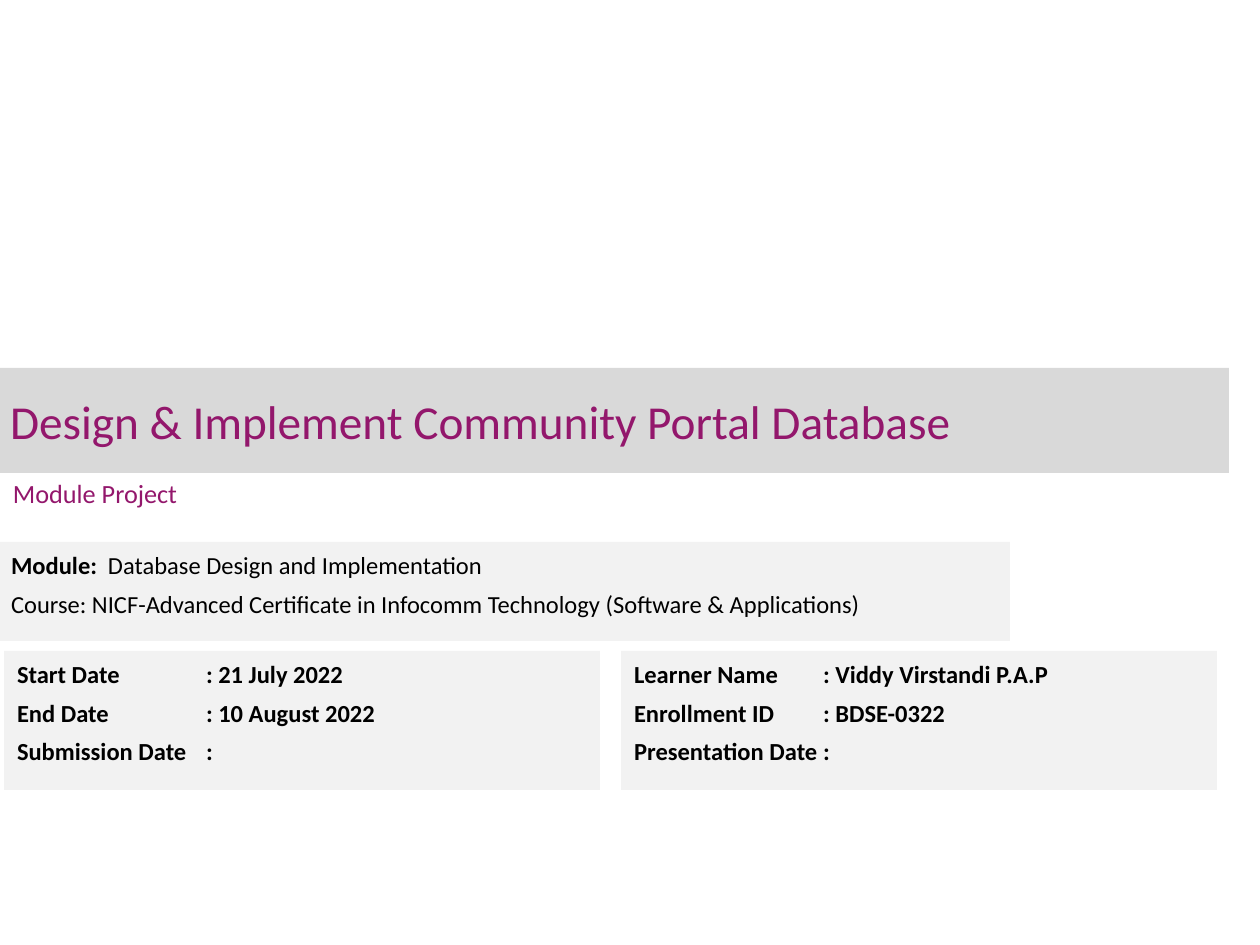
from dataclasses import dataclass

from lxml.etree import SubElement
from pptx import Presentation
from pptx.dml.color import RGBColor
from pptx.enum.shapes import MSO_SHAPE as Shape
from pptx.enum.text import MSO_ANCHOR as Anchor, PP_ALIGN as Align
from pptx.oxml.ns import qn
from pptx.util import Pt

SCALE = 914400 / 126


@dataclass(frozen=True)
class Theme:
    font: str = "Calibri"
    accent: str = "93176C"
    ink: str = "000000"
    band: str = "D9D9D9"
    panel: str = "F2F2F2"
    title_size: int = 27
    subtitle_size: int = 15
    body_size: int = 14


THEME = Theme()

TITLE = "Design & Implement Community Portal Database"
SUBTITLE = "Module Project"
# Each line is a list of (text, bold) runs.
COURSE = [
    [("Module:", True), ("\tDatabase Design and Implementation", False)],
    [("Course: NICF-Advanced Certificate in Infocomm Technology "
      "(Software & Applications)", False)],
]
DETAILS = [
    [("Start Date", "21 July 2022"),
     ("End Date", "10 August 2022"),
     ("Submission Date", "")],
    [("Learner Name", "Viddy Virstandi P.A.P"),
     ("Enrollment ID", "BDSE-0322"),
     ("Presentation Date", "")],
]

TITLE_BOX = (0, 368, 1229, 105)
SUBTITLE_BOX = (0, 454, 809, 78)
COURSE_BOX = (-2, 542, 1012, 99)
DETAIL_LEFT, DETAIL_TOP, DETAIL_WIDTH, DETAIL_HEIGHT = 4, 651, 596, 139
DETAIL_GAP = 21
COURSE_TAB, DETAIL_TAB = 97, 189


def px(value):
    return round(value * SCALE)


def add_box(slide, box, fill=None, inset=(13, 6), anchor=Anchor.TOP):
    """Add a rectangle, or a plain text box without fill; return its text frame."""
    place = [px(value) for value in box]
    if fill:
        panel = slide.shapes.add_shape(Shape.RECTANGLE, *place)
        panel.shadow.inherit = False
        panel.fill.solid()
        panel.fill.fore_color.rgb = RGBColor.from_string(fill)
        panel.line.fill.background()
    else:
        panel = slide.shapes.add_textbox(*place)
    frame = panel.text_frame
    frame.word_wrap = True
    frame.vertical_anchor = anchor
    frame.margin_left = frame.margin_right = px(inset[0])
    frame.margin_top = frame.margin_bottom = px(inset[1])
    return frame


def add_run(paragraph, text, size, color, bold=False):
    run = paragraph.add_run()
    run.text = text
    run.font.name = THEME.font
    run.font.size = Pt(size)
    run.font.bold = bold
    run.font.color.rgb = RGBColor.from_string(color)


def add_heading(frame, text, size):
    heading = frame.paragraphs[0]
    heading.alignment = Align.LEFT
    add_run(heading, text, size, THEME.accent)


def add_lines(frame, lines, tab):
    for index, runs in enumerate(lines):
        line = frame.add_paragraph() if index else frame.paragraphs[0]
        line.alignment = Align.LEFT
        line.line_spacing = Pt(18)
        line.space_before = Pt(2 if index else 0)
        line.space_after = Pt(2)
        stops = SubElement(line._p.get_or_add_pPr(), qn("a:tabLst"))
        SubElement(stops, qn("a:tab"), pos=str(px(tab)), algn="l")
        for text, bold in runs:
            add_run(line, text, THEME.body_size, THEME.ink, bold)


def main():
    deck = Presentation()
    deck.slide_width, deck.slide_height = px(1260), px(945)
    slide = deck.slides.add_slide(deck.slide_layouts[6])

    title = add_box(slide, TITLE_BOX, THEME.band, (10, 5), Anchor.MIDDLE)
    add_heading(title, TITLE, THEME.title_size)
    subtitle = add_box(slide, SUBTITLE_BOX, anchor=Anchor.MIDDLE)
    add_heading(subtitle, SUBTITLE, THEME.subtitle_size)
    add_lines(add_box(slide, COURSE_BOX, THEME.panel), COURSE, COURSE_TAB)

    for column, details in enumerate(DETAILS):
        left = DETAIL_LEFT + column * (DETAIL_WIDTH + DETAIL_GAP)
        box = (left, DETAIL_TOP, DETAIL_WIDTH, DETAIL_HEIGHT)
        lines = [[(f"{label}\t: {value}".rstrip(), True)] for label, value in details]
        add_lines(add_box(slide, box, THEME.panel), lines, DETAIL_TAB)

    deck.save("out.pptx")


if __name__ == "__main__":
    main()
